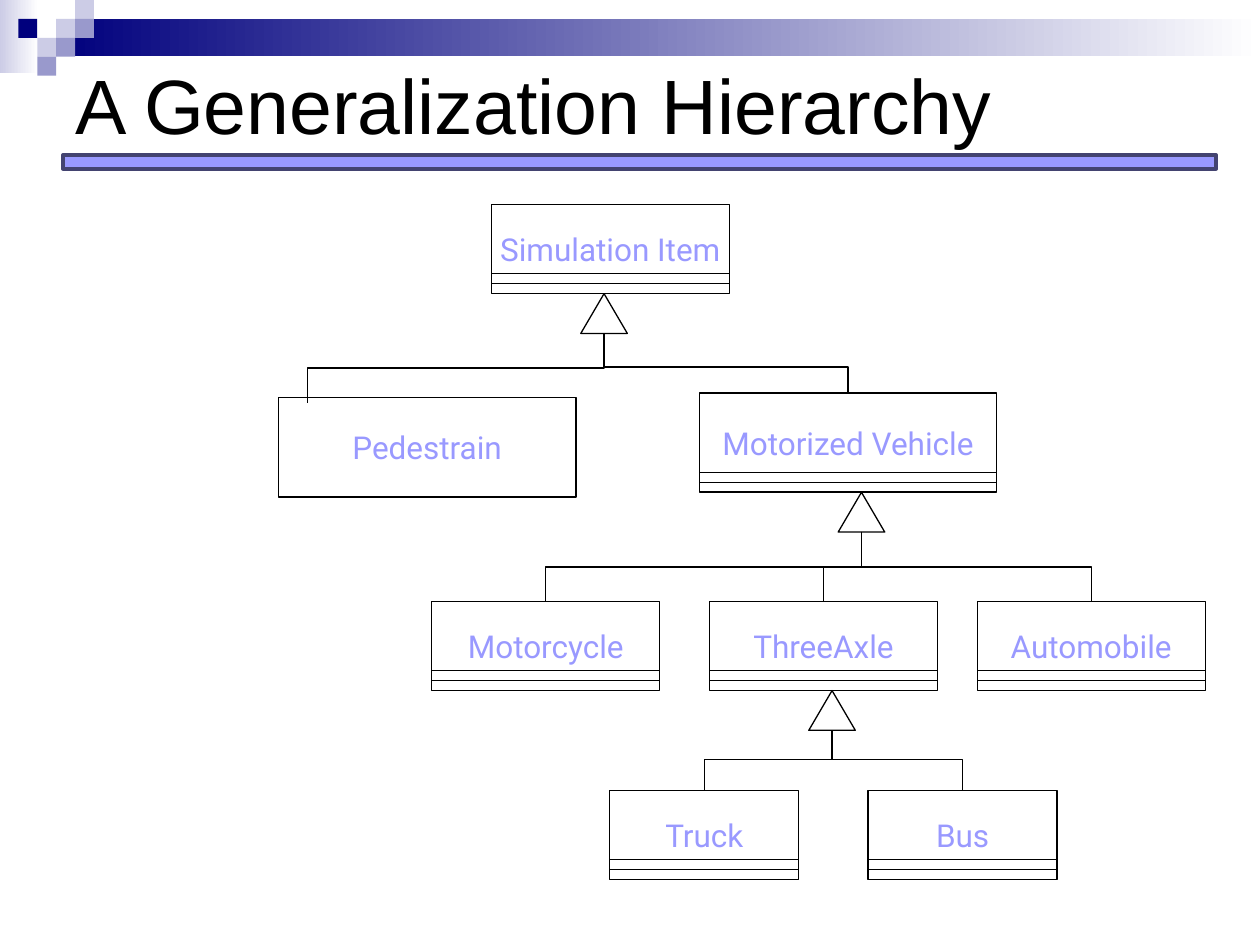
"""Build a slide with a class generalization hierarchy."""
from lxml import etree
from pptx import Presentation
from pptx import util as u
from pptx.dml.color import RGBColor
from pptx.enum import shapes, text
from pptx.oxml import ns

Pt = u.Pt
RECT, TRIANGLE = shapes.MSO_SHAPE.RECTANGLE, shapes.MSO_SHAPE.ISOSCELES_TRIANGLE
BLACK = RGBColor(0x00, 0x00, 0x00)
WHITE = RGBColor(0xFF, 0xFF, 0xFF)
NAVY = RGBColor(0x00, 0x00, 0x7D)
PALE = RGBColor(0xCC, 0xCC, 0xE6)
MID = RGBColor(0x99, 0x99, 0xCC)
VIOLET = RGBColor(0x99, 0x99, 0xFF)
EDGE = RGBColor(0x43, 0x43, 0x70)


def write(sp, content, font="Roboto", size=18, color=VIOLET, align=text.PP_ALIGN.CENTER, wrap=False):
    tf = sp.text_frame
    tf.word_wrap = wrap
    tf.vertical_anchor = text.MSO_ANCHOR.MIDDLE
    p = tf.paragraphs[0]
    p.alignment = align
    r = p.add_run()
    r.text = content
    r.font.name, r.font.size, r.font.color.rgb = font, Pt(size), color


def wire(kind, x1, y1, x2, y2):
    c = s.shapes.add_connector(kind, Pt(x1), Pt(y1), Pt(x2), Pt(y2))
    c.line.color.rgb, c.line.width = BLACK, Pt(0.75)
    etree.SubElement(c._element.spPr, ns.qn("a:effectLst"))
    return c


prs = Presentation()
prs.slide_width, prs.slide_height = Pt(720), Pt(540)
s = prs.slides.add_slide(prs.slide_layouts[5])

title = s.shapes.title
title.left, title.top, title.width, title.height = Pt(36), Pt(5), Pt(648), Pt(108)
write(title, "A Generalization Hierarchy", font="Arial", size=44, color=BLACK,
      align=text.PP_ALIGN.LEFT, wrap=True)

for x, y, w, h, start in [(0, 0, 22, 41.5, PALE), (32.5, 10.8, 687.5, 21.4, NAVY)]:
    sp = s.shapes.add_shape(RECT, Pt(x), Pt(y), Pt(w), Pt(h))
    sp.shadow.inherit = False
    sp.line.fill.background()
    sp.fill.gradient()
    sp.fill.gradient_angle = 0
    for stop, color, position in zip(sp.fill.gradient_stops, (start, WHITE), (0, 1)):
        stop.color.rgb, stop.position = color, position

tile = 10.8
for col, row, color in [(2, 1, PALE), (3, 0, PALE), (3, 1, MID), (1, 2, PALE),
                        (0, 1, NAVY), (2, 2, MID), (1, 3, MID)]:
    sp = s.shapes.add_shape(RECT, Pt(10.5 + col * tile), Pt(row * tile), Pt(tile), Pt(tile))
    sp.shadow.inherit = False
    sp.fill.solid()
    sp.fill.fore_color.rgb = color
    sp.line.fill.background()

rule = s.shapes.add_shape(RECT, Pt(36), Pt(88.5), Pt(659), Pt(8))
rule.shadow.inherit = False
rule.fill.solid()
rule.fill.fore_color.rgb = VIOLET
rule.line.color.rgb, rule.line.width = EDGE, Pt(2)

classes = {
    "Simulation Item": (280.8, 116.8, 136, 51),
    "Pedestrain": (159.1, 227.3, 170, 56.7),
    "Motorized Vehicle": (399.6, 224.6, 170, 56.7),
    "Motorcycle": (246.7, 343.6, 130.3, 51),
    "ThreeAxle": (405.4, 343.6, 130.3, 51),
    "Automobile": (558.4, 343.6, 130.3, 51),
    "Truck": (348.5, 451.6, 108, 51),
    "Bus": (496.1, 451.6, 108, 51),
}
for name, (x, y, w, h) in classes.items():
    sp = s.shapes.add_shape(RECT, Pt(x), Pt(y), Pt(w), Pt(h))
    sp.shadow.inherit = False
    sp.fill.background()
    sp.line.color.rgb, sp.line.width = BLACK, Pt(0.75)
    write(sp, name)
    if name != "Pedestrain":
        for rise in (11.3, 5.7):
            wire(shapes.MSO_CONNECTOR.STRAIGHT, x, y + h - rise, x + w, y + h - rise)

tri_w, tri_h = 26.6, 22.7
branches = [
    ("Simulation Item", 345.2, [("Pedestrain", 175.7, 230.4, 210.4),
                                ("Motorized Vehicle", 484.6, 224.6, 209.8)]),
    ("Motorized Vehicle", 492.3, [("Motorcycle", 311.9, 343.6, 324),
                                  ("ThreeAxle", 470.6, 343.6, 324),
                                  ("Automobile", 623.6, 343.6, 324)]),
    ("ThreeAxle", 475.5, [("Truck", 402.5, 451.6, 434.2), ("Bus", 550.1, 451.6, 434.2)]),
]
for parent, x, children in branches:
    top = classes[parent][1] + classes[parent][3]
    y = top + tri_h
    sp = s.shapes.add_shape(TRIANGLE, Pt(x - tri_w / 2), Pt(top), Pt(tri_w), Pt(tri_h))
    sp.shadow.inherit = False
    sp.fill.background()
    sp.line.color.rgb, sp.line.width = BLACK, Pt(0.75)
    for child, end_x, end_y, bend_y in children:
        side = 1 if end_x > x else -1
        mid_x, mid_y = (x + end_x) / 2, (y + end_y) / 2
        half_w, half_h = side * (end_y - y) / 2, abs(end_x - x) / 2
        c = wire(shapes.MSO_CONNECTOR.ELBOW, mid_x + half_w, mid_y - half_h,
                 mid_x - half_w, mid_y + half_h)
        c._element.spPr.find(ns.qn("a:xfrm")).set("rot", str((270 if side > 0 else 90) * 60000))
        guides = c._element.spPr.find(ns.qn("a:prstGeom")).find(ns.qn("a:avLst"))
        bend = round((bend_y - y) / (end_y - y) * 100000)
        etree.SubElement(guides, ns.qn("a:gd"), name="adj1", fmla=f"val {bend}")

prs.save("out.pptx")
